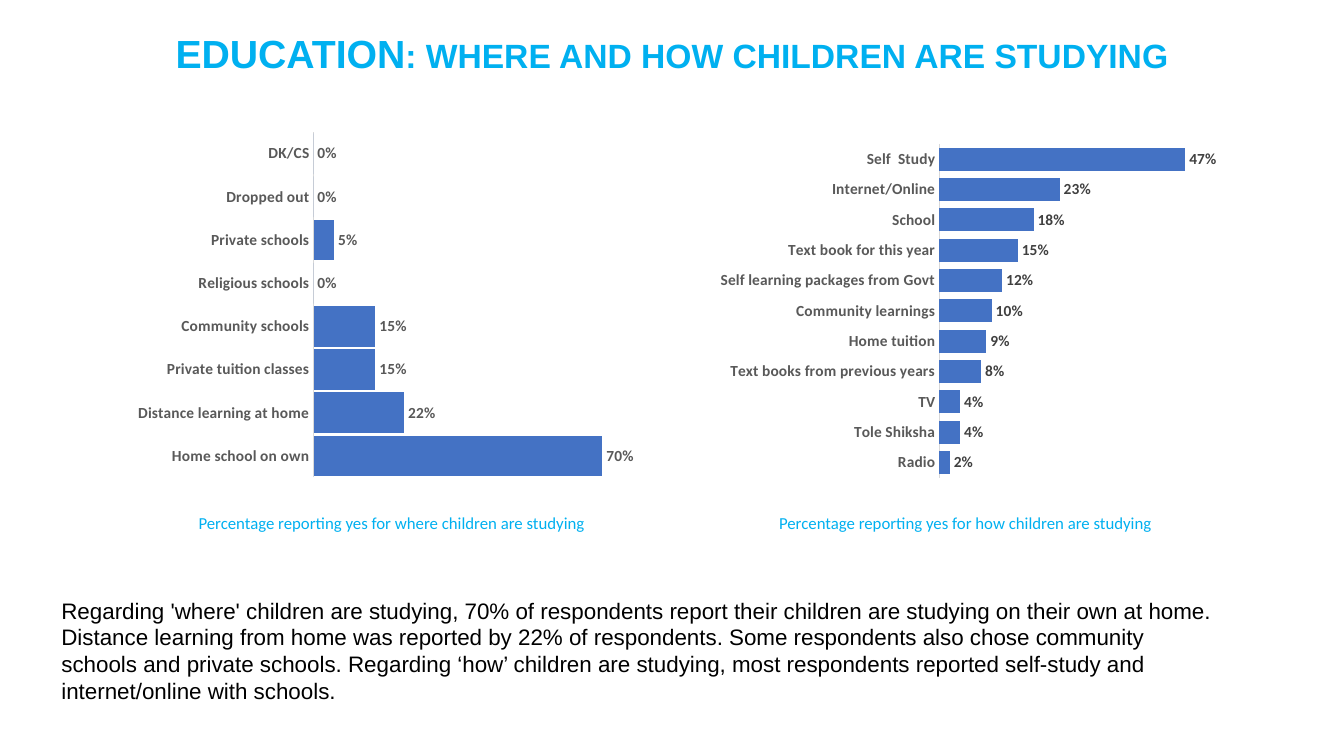
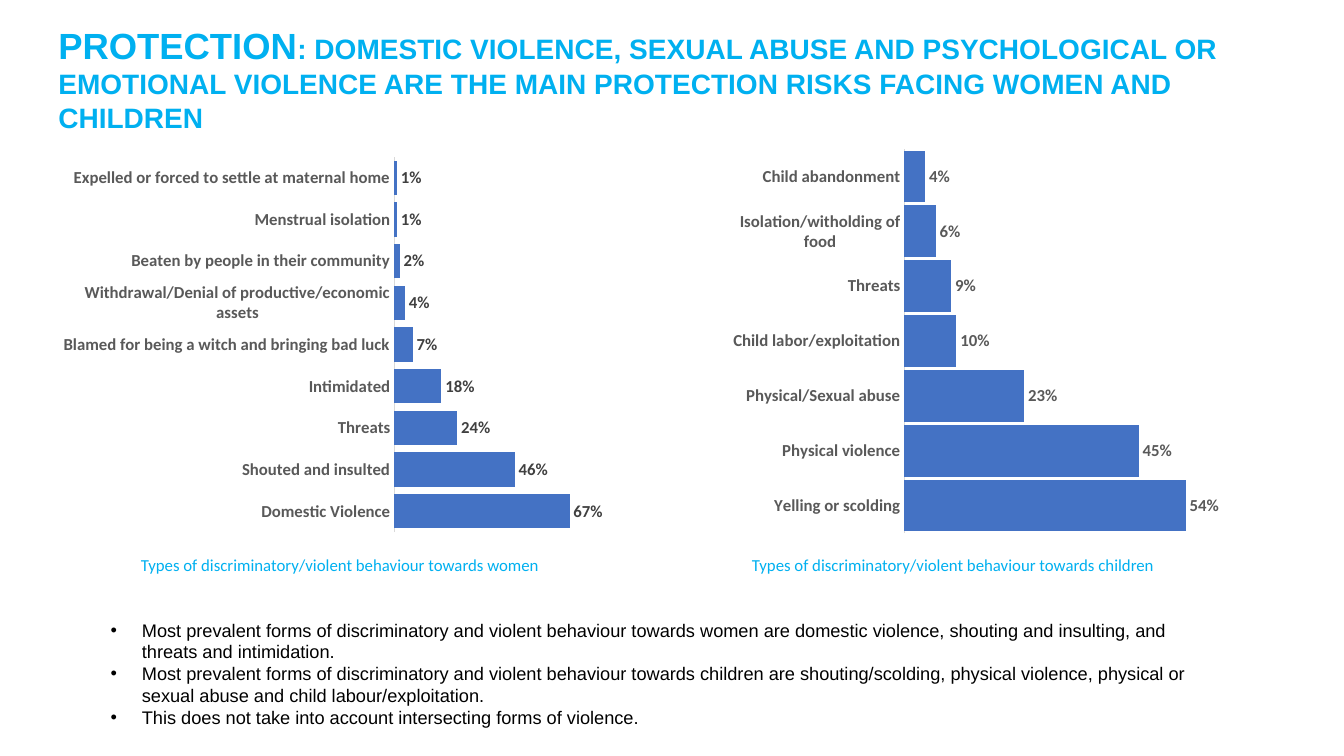
from dataclasses import dataclass

from pptx import Presentation
from pptx.chart.data import CategoryChartData
from pptx.dml.color import RGBColor
from pptx.enum.chart import XL_CHART_TYPE, XL_LABEL_POSITION, XL_TICK_MARK
from pptx.enum.text import MSO_ANCHOR, PP_ALIGN
from pptx.oxml.xmlchemy import OxmlElement
from pptx.util import Inches, Pt

BAR_CHART = XL_CHART_TYPE.BAR_CLUSTERED
OUTSIDE_END = XL_LABEL_POSITION.OUTSIDE_END
NO_TICKS = XL_TICK_MARK.NONE
LEFT, CENTER = PP_ALIGN.LEFT, PP_ALIGN.CENTER
TOP, MIDDLE = MSO_ANCHOR.TOP, MSO_ANCHOR.MIDDLE

WIDTH, HEIGHT = Inches(13.33), Inches(7.5)
BLANK_LAYOUT = 6
BULLET_INDENT = Inches(0.31)


@dataclass(frozen=True)
class Theme:
    accent: RGBColor = RGBColor(0x00, 0xB0, 0xF0)
    bar: RGBColor = RGBColor(0x44, 0x72, 0xC4)
    text: RGBColor = RGBColor(0x00, 0x00, 0x00)
    category: RGBColor = RGBColor(0x59, 0x59, 0x59)
    value: RGBColor = RGBColor(0x40, 0x40, 0x40)
    axis: RGBColor = RGBColor(0xD9, 0xD9, 0xD9)
    main_font: str = "Arial"
    chart_font: str = "Calibri"
    caption_size: int = 12
    body_size: int = 16
    bullet_size: int = 13


THEME = Theme()


def place(area):
    """Turn (left, top, width, height) in percent of the slide into lengths."""
    sides = (WIDTH, HEIGHT, WIDTH, HEIGHT)
    return [int(side * share / 100) for side, share in zip(sides, area)]


def style_font(font, color, **formats):
    for name, value in formats.items():
        setattr(font, name, Pt(value) if name == "size" else value)
    font.color.rgb = color


def add_text(slide, area, paragraphs, color, font_name, alignment=LEFT,
             anchor=TOP, line_spacing=None, bold=False, bulleted=False):
    """Each paragraph is a list of (text, size) runs."""
    frame = slide.shapes.add_textbox(*place(area)).text_frame
    frame.word_wrap = True
    frame.vertical_anchor = anchor
    for index, runs in enumerate(paragraphs):
        paragraph = frame.add_paragraph() if index else frame.paragraphs[0]
        paragraph.alignment = alignment
        if line_spacing:
            paragraph.line_spacing = line_spacing
        if bulleted:
            add_bullet(paragraph)
        for text, size in runs:
            run = paragraph.add_run()
            run.text = text
            style_font(run.font, color, name=font_name, size=size, bold=bold)


def add_bullet(paragraph):
    properties = paragraph._p.get_or_add_pPr()
    properties.set("marL", str(BULLET_INDENT))
    properties.set("indent", str(-BULLET_INDENT))
    for tag, name, value in (("a:buFont", "typeface", THEME.main_font),
                             ("a:buChar", "char", "•")):
        element = OxmlElement(tag)
        element.set(name, value)
        properties.append(element)


def add_title(slide, area, topic, message, sizes, **layout):
    runs = list(zip((topic, message), sizes))
    add_text(slide, area, [runs], THEME.accent, THEME.main_font, bold=True, **layout)


def add_caption(slide, area, text, alignment=CENTER):
    add_text(slide, area, [[(text, THEME.caption_size)]], THEME.accent,
             THEME.chart_font, alignment)


def set_plot_layout(chart, plot):
    """Fix the inner plot area as shares of the chart."""
    plot_area = chart._chartSpace.chart.plotArea
    for old in plot_area.findall("{*}layout"):
        plot_area.remove(old)
    layout, manual = OxmlElement("c:layout"), OxmlElement("c:manualLayout")
    settings = [("layoutTarget", "inner"), ("xMode", "edge"), ("yMode", "edge")]
    settings += zip("xywh", plot)
    for name, value in settings:
        element = OxmlElement(f"c:{name}")
        element.set("val", str(value))
        manual.append(element)
    layout.append(manual)
    plot_area.insert(0, layout)


def add_bar_chart(slide, area, plot, percentages, maximum, gap, size,
                  label_color=THEME.category):
    data = CategoryChartData(number_format="0%")
    data.categories = list(percentages)
    data.add_series("Series 1", [value / 100 for value in percentages.values()])
    chart = slide.shapes.add_chart(BAR_CHART, *place(area), data).chart
    chart.has_legend = chart.has_title = False
    font = {"name": THEME.chart_font, "size": size, "bold": True}
    style_font(chart.font, THEME.text, **font)
    set_plot_layout(chart, plot)

    category_axis = chart.category_axis
    category_axis.major_tick_mark = category_axis.minor_tick_mark = NO_TICKS
    category_axis.format.line.color.rgb = THEME.axis
    category_axis.format.line.width = Pt(0.75)
    style_font(category_axis.tick_labels.font, THEME.category, **font)

    value_axis = chart.value_axis
    axis_formats = {"visible": False, "has_major_gridlines": False,
                    "minimum_scale": 0, "maximum_scale": maximum}
    for name, value in axis_formats.items():
        setattr(value_axis, name, value)

    bars = chart.plots[0]
    bars.gap_width = gap
    bars.vary_by_categories = False
    fill = bars.series[0].format.fill
    fill.solid()
    fill.fore_color.rgb = THEME.bar
    bars.has_data_labels = True
    labels = bars.data_labels
    label_formats = {"show_value": True, "position": OUTSIDE_END,
                     "number_format": "0%", "number_format_is_linked": False}
    for name, value in label_formats.items():
        setattr(labels, name, value)
    style_font(labels.font, label_color, **font)


def build_education(slide):
    add_title(slide, (0, 0, 100, 14.67), "EDUCATION",
              ": WHERE AND HOW CHILDREN ARE STUDYING", (28, 24),
              alignment=CENTER, anchor=MIDDLE, line_spacing=0.9)
    where = {
        "Home school on own": 70, "Distance learning at home": 22,
        "Private tuition classes": 15, "Community schools": 15,
        "Religious schools": 0, "Private schools": 5, "Dropped out": 0, "DK/CS": 0,
    }
    how = {
        "Radio": 2, "Tole Shiksha": 4, "TV": 4, "Text books from previous years": 8,
        "Home tuition": 9, "Community learnings": 10,
        "Self learning packages from Govt": 12, "Text book for this year": 15,
        "School": 18, "Internet/Online": 23, "Self  Study": 47,
    }
    add_bar_chart(slide, (9.68, 16.53, 39, 47.6), (0.35, 0.02, 0.63, 0.96),
                  where, maximum=0.8, gap=6, size=11)
    add_bar_chart(slide, (53.04, 18.13, 37.5, 46), (0.45, 0.02, 0.52, 0.96),
                  how, maximum=0.5, gap=32, size=11, label_color=THEME.value)
    for left, topic in ((6.9, "where"), (49.59, "how")):
        add_caption(slide, (left, 67.2, 44.5, 4),
                    f"Percentage reporting yes for {topic} children are studying")
    summary = (
        "Regarding 'where' children are studying, 70% of respondents report their "
        "children are studying on their own at home. Distance learning from home was "
        "reported by 22% of respondents. Some respondents also chose community schools "
        "and private schools. Regarding ‘how’ children are studying, most respondents "
        "reported self-study and internet/online with schools."
    )
    add_text(slide, (3.83, 78.27, 87.5, 15.7), [[(summary, THEME.body_size)]],
             THEME.text, THEME.main_font)


def build_protection(slide):
    add_title(slide, (3.6, 2.4, 91, 16.1), "PROTECTION",
              ": DOMESTIC VIOLENCE, SEXUAL ABUSE AND PSYCHOLOGICAL OR EMOTIONAL "
              "VIOLENCE ARE THE MAIN PROTECTION RISKS FACING WOMEN AND CHILDREN",
              (26, 20))
    women = {
        "Domestic Violence": 67, "Shouted and insulted": 46, "Threats": 24,
        "Intimidated": 18, "Blamed for being a witch and bringing bad luck": 7,
        "Withdrawal/Denial of productive/economic assets": 4,
        "Beaten by people in their community": 2, "Menstrual isolation": 1,
        "Expelled or forced to settle at maternal home": 1,
    }
    children = {
        "Yelling or scolding": 54, "Physical violence": 45, "Physical/Sexual abuse": 23,
        "Child labor/exploitation": 10, "Threats": 9,
        "Isolation/witholding of food": 6, "Child abandonment": 4,
    }
    add_bar_chart(slide, (4.73, 19.73, 41, 51.7), (0.6, 0.02, 0.38, 0.96),
                  women, maximum=0.8, gap=22, size=12, label_color=THEME.value)
    add_bar_chart(slide, (53.79, 18.67, 37.5, 52.9), (0.36, 0.02, 0.62, 0.96),
                  children, maximum=0.6, gap=6, size=12)
    for left, group, alignment in ((8.1, "women", CENTER), (55.21, "children", LEFT)):
        add_caption(slide, (left, 72.7, 34.4, 4),
                    f"Types of discriminatory/violent behaviour towards {group}", alignment)
    findings = (
        "Most prevalent forms of discriminatory and violent behaviour towards women are "
        "domestic violence, shouting and insulting, and threats and intimidation.",
        "Most prevalent forms of discriminatory and violent behaviour towards children are "
        "shouting/scolding, physical violence, physical or sexual abuse and child "
        "labour/exploitation.",
        "This does not take into account intersecting forms of violence.",
    )
    add_text(slide, (7.5, 81.2, 82, 15.9),
             [[(finding, THEME.bullet_size)] for finding in findings],
             THEME.text, THEME.main_font, bulleted=True)


def main():
    presentation = Presentation()
    presentation.slide_width, presentation.slide_height = WIDTH, HEIGHT
    for build in (build_education, build_protection):
        build(presentation.slides.add_slide(presentation.slide_layouts[BLANK_LAYOUT]))
    presentation.save("out.pptx")


if __name__ == "__main__":
    main()
